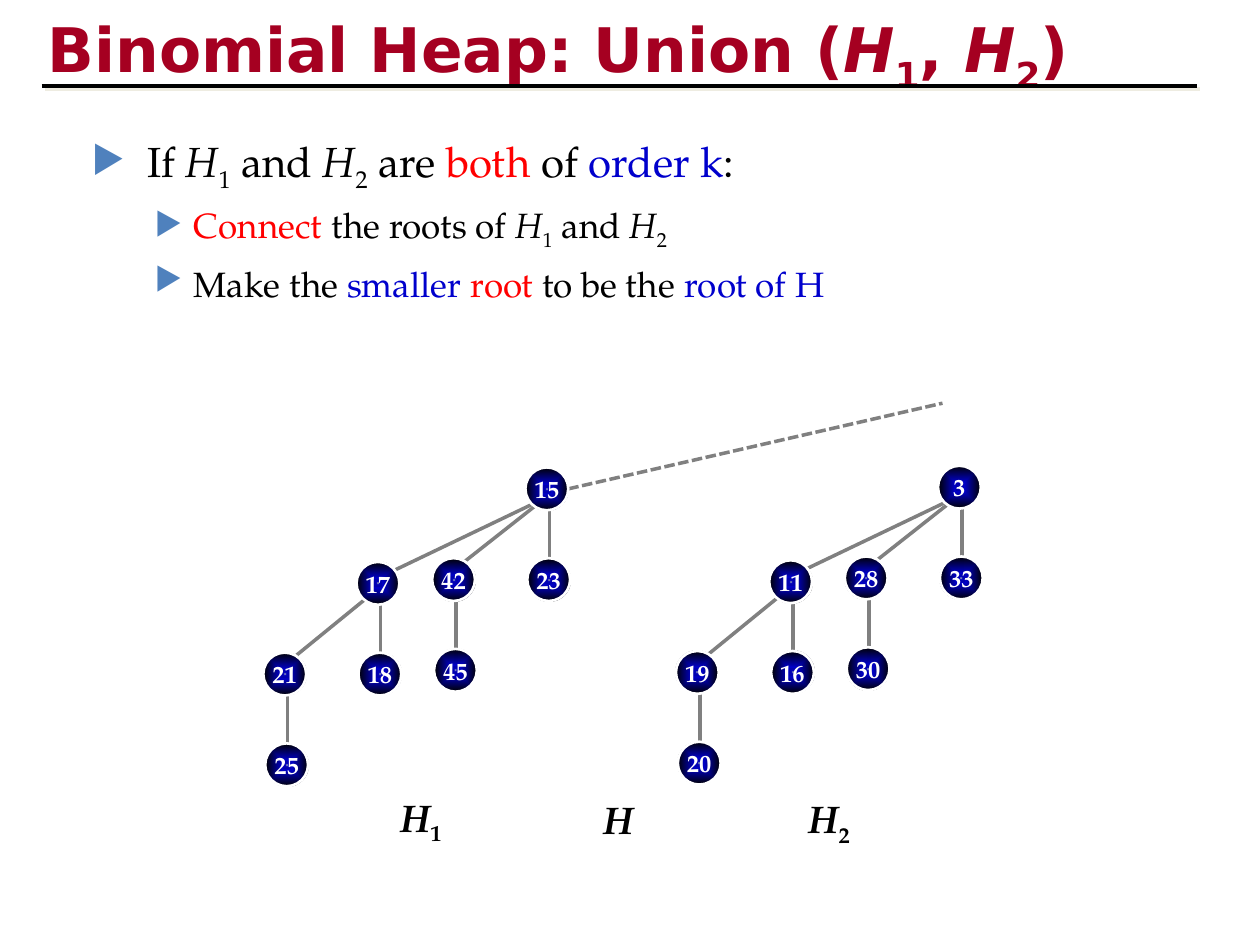
from lxml.etree import fromstring as parse_xml
from pptx import Presentation
from pptx.dml.color import RGBColor as Rgb
from pptx.enum.dml import MSO_LINE as Dash
from pptx.enum.shapes import MSO_CONNECTOR as Wire, MSO_SHAPE as Form
from pptx.enum.text import MSO_ANCHOR as Anchor, MSO_AUTO_SIZE as Fit, PP_ALIGN as Align
from pptx.util import Inches, Pt

theme = {
    "head": {"size": 35.1, "name": "DejaVu Sans", "ink": "A50021", "bold": True},
    "main": {"size": 24, "name": "TeX Gyre Pagella", "ink": "000000", "bold": False},
    "sub": {"size": 20, "name": "TeX Gyre Pagella", "ink": "000000", "bold": False},
    "node": {"size": 14, "name": "TeX Gyre Pagella", "ink": "FFFFFF", "bold": True},
    "label": {"size": 22, "name": "TeX Gyre Pagella", "ink": "000000", "bold": True},
    "red": "FF0000", "blue": "0000CC", "bullet": "4F81BD",
    "edge": "808080", "rule": "000000", "rim": "FFFFFF", "shade": "EEECE1",
    "glow": [(0, "0000CC"), (0, "002060"), (6, "0000C0"), (10, "0000B7"),
             (16, "0000AB"), (21, "0000CC"), (100, "000000")],
}
space = 'xmlns:a="http://schemas.openxmlformats.org/drawingml/2006/main"'
shade = (f'<a:effectLst {space}><a:outerShdw dist="35560" dir="2700000" algn="ctr" rotWithShape="0">'
         f'<a:srgbClr val="{theme["shade"]}"/></a:outerShdw></a:effectLst>')
plain = f"<a:effectLst {space}/>"
stops = "".join(
    f'<a:gs pos="{pos * 1000}"><a:srgbClr val="{ink}">'
    + ('<a:alpha val="25000"/>' if ink == "002060" else "") + "</a:srgbClr></a:gs>"
    for pos, ink in theme["glow"])
glow = (f'<a:gradFill {space} rotWithShape="1"><a:gsLst>{stops}</a:gsLst><a:path path="shape">'
        '<a:fillToRect l="50000" t="50000" r="50000" b="50000"/></a:path></a:gradFill>')

deck = Presentation()
deck.slide_width, deck.slide_height = Inches(10), Inches(7.5)
slide = deck.slides.add_slide(deck.slide_layouts[6])
shapes = slide.shapes
cell = deck.slide_width / 100


def at(*spots):
    return [round(spot * cell) for spot in spots]


def write(para, parts, kind):
    look = theme[kind]
    for text, *marks in parts:
        run = para.add_run()
        run.text = text
        form = {"size": Pt(look["size"]), "name": look["name"],
                "bold": look["bold"], "italic": "it" in marks}
        for key, val in form.items():
            setattr(run.font, key, val)
        ink = next((theme[mark] for mark in marks if mark in ("red", "blue")), look["ink"])
        run.font.color.rgb = Rgb.from_string(ink)
        props = run._r.get_or_add_rPr()
        if "low" in marks:
            props.set("baseline", "-25000")
        if kind == "head":
            props.find("{*}solidFill").addnext(parse_xml(shade))


one, two = [("H", "it"), ("1", "low")], [("H", "it"), ("2", "low")]
boxes = [
    ((2.8, 0.1, 85, 6.7),
     [("head", [("Binomial Heap: Union (",), *one, (", ",), *two, (")",)])]),
    ((6.3, 10.3, 74.4, 6.7),
     [("main", [("If ",), *one, (" and ",), *two, (" are ",), ("both", "red"),
                (" of ",), ("order k", "blue"), (":",)]),
      ("sub", [("Connect", "red"), (" the roots of ",), *one, (" and ",), *two]),
      ("sub", [("Make the ",), ("smaller ", "blue"), ("root", "red"),
               (" to be the ",), ("root of H", "blue")])]),
    ((46.9, 62.7, 5.7, 4.7), [("label", [("H", "it")])]),
    ((30.8, 62.5, 5.7, 4.7), [("label", one)]),
    ((63.2, 62.6, 5.7, 4.7), [("label", two)]),
]
dents = {"main": (4.4, 4.4), "sub": (8.1, 3.1)}
for spot, paras in boxes:
    frame = shapes.add_textbox(*at(*spot)).text_frame
    frame.word_wrap = True
    for row, (kind, parts) in enumerate(paras):
        para = frame.add_paragraph() if row else frame.paragraphs[0]
        if kind in dents:
            left, hang = at(*dents[kind])
            props = para._p.get_or_add_pPr()
            props.set("marL", str(left))
            props.set("indent", str(-hang))
            for mark in (f'<a:buClr {space}><a:srgbClr val="{theme["bullet"]}"/></a:buClr>',
                         f'<a:buSzPct {space} val="90000"/>',
                         f'<a:buChar {space} char="▶"/>'):
                props.append(parse_xml(mark))
            para.space_before = Pt(6 if row else 0)
        if kind == "head":
            frame.margin_top = at(0.8)[0]
        if kind == "label":
            frame.auto_size = Fit.SHAPE_TO_FIT_TEXT
        write(para, parts, kind)

size, drop = 3.4, 7.2
chains = [(41.7, 37.1), (34.3, 44.3), (28.3, 44.6), (20.9, 51.8)]
slants = [(30.8, 45.5, 42.5, 39.9), (36.2, 45.1, 42.8, 39.9), (22.8, 52.6, 29.3, 47.3)]
trees = [
    (0, 0, [("15", "23"), ("42", "45"), ("17", "18"), ("21", "25")]),
    (32.75, -0.13, [("3", "33"), ("28", "30"), ("11", "16"), ("19", "20")]),
]
wires = [((3.3, 6.8, 95, 6.8), "rule", 2.25, None, shade),
         ((45.1, 38.8, 74.8, 32), "edge", 2, Dash.SQUARE_DOT, plain)]
nodes = []
for dx, dy, names in trees:
    stems = [(x + 1.9, y + size, x + 1.9, y + size + 5) for x, y in chains]
    for x, y, right, low in slants + stems:
        wires.append(((x + dx, y + dy, right + dx, low + dy), "edge", 2, None, plain))
    for (x, y), pair in zip(chains, names):
        for step, name in enumerate(pair):
            nodes.append((x + dx + 0.15 * step, y + dy + drop * step, name))

for ends, ink, width, dash, effect in wires:
    wire = shapes.add_connector(Wire.STRAIGHT, *at(*ends))
    wire.line.color.rgb = Rgb.from_string(theme[ink])
    for key, val in {"width": Pt(width), "dash_style": dash}.items():
        setattr(wire.line, key, val)
    wire._element.spPr.append(parse_xml(effect))

for x, y, name in nodes:
    node = shapes.add_shape(Form.OVAL, *at(x, y, size, size))
    node.shadow.inherit = False
    node._element.spPr.find("{*}prstGeom").addnext(parse_xml(glow))
    node.line.color.rgb = Rgb.from_string(theme["rim"])
    node.line.width = Pt(1.5)
    frame = node.text_frame
    for key, val in {"word_wrap": False, "vertical_anchor": Anchor.MIDDLE}.items():
        setattr(frame, key, val)
    frame.paragraphs[0].alignment = Align.CENTER
    write(frame.paragraphs[0], [(name,)], "node")

deck.save("out.pptx")
